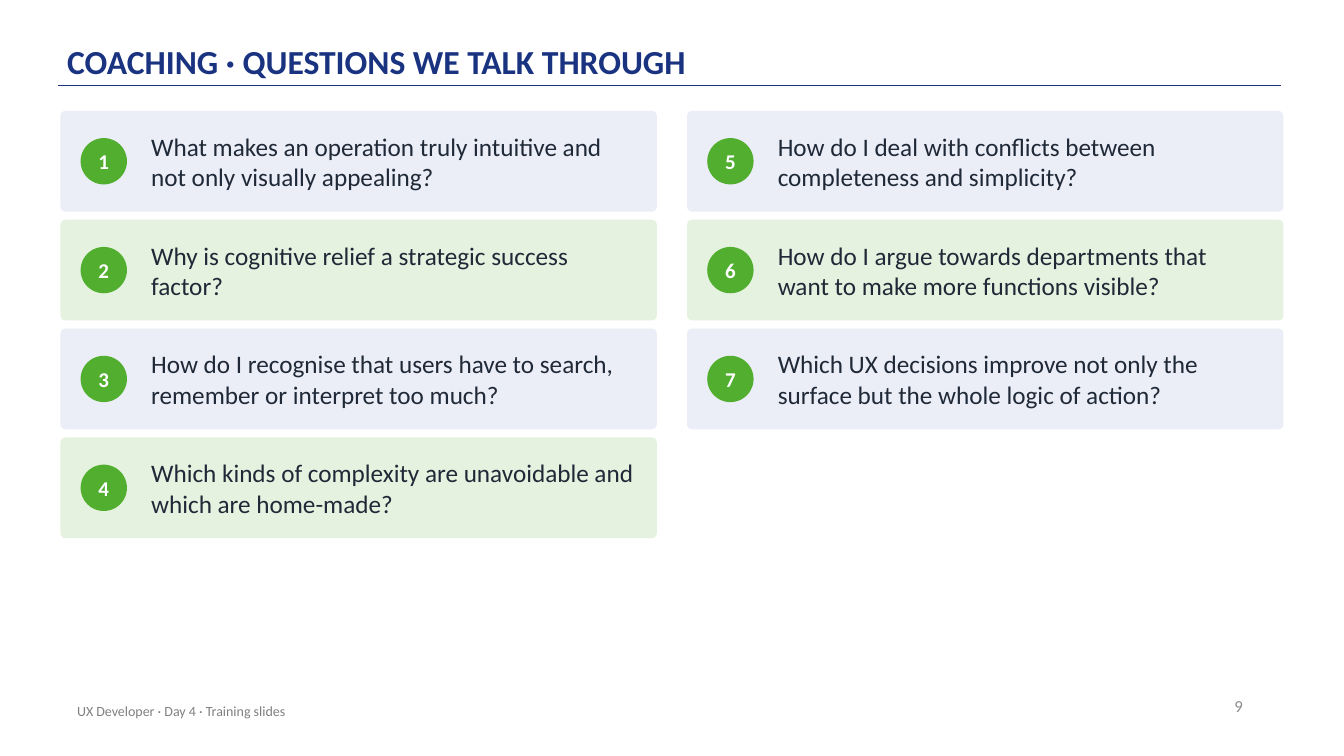
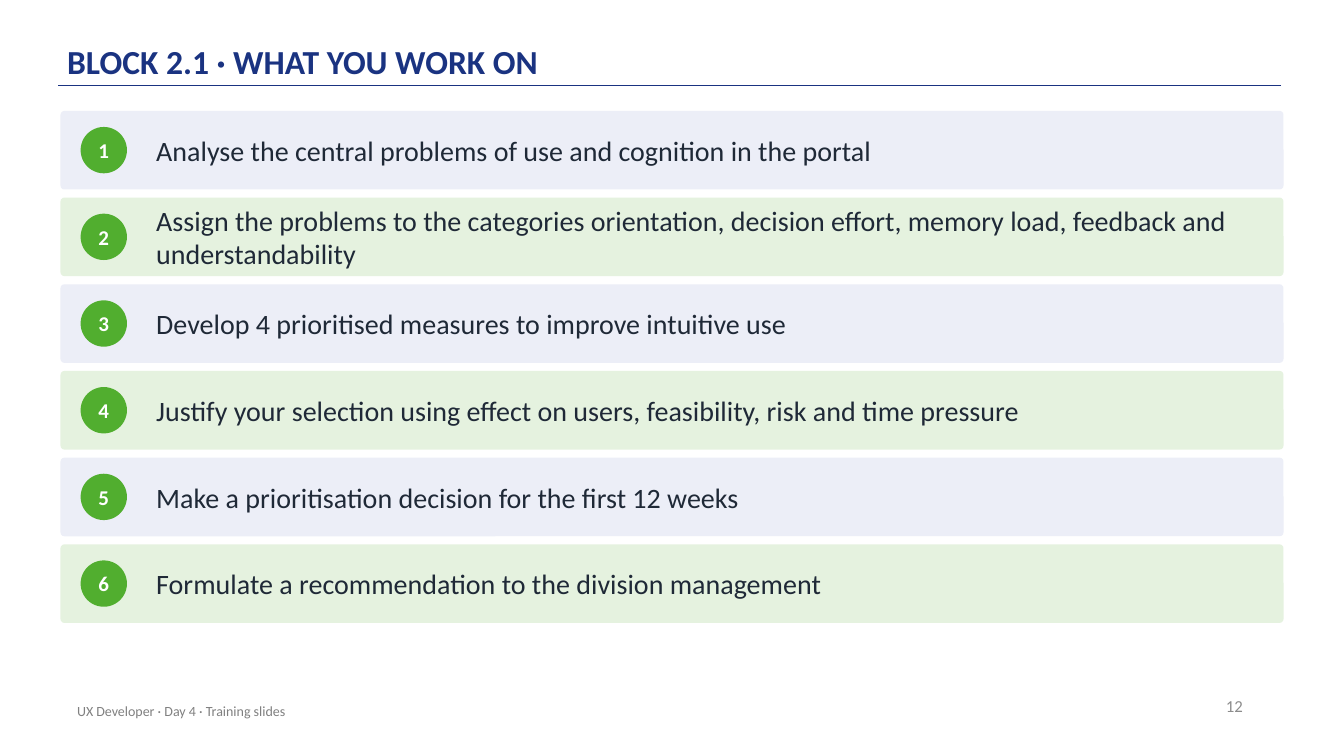
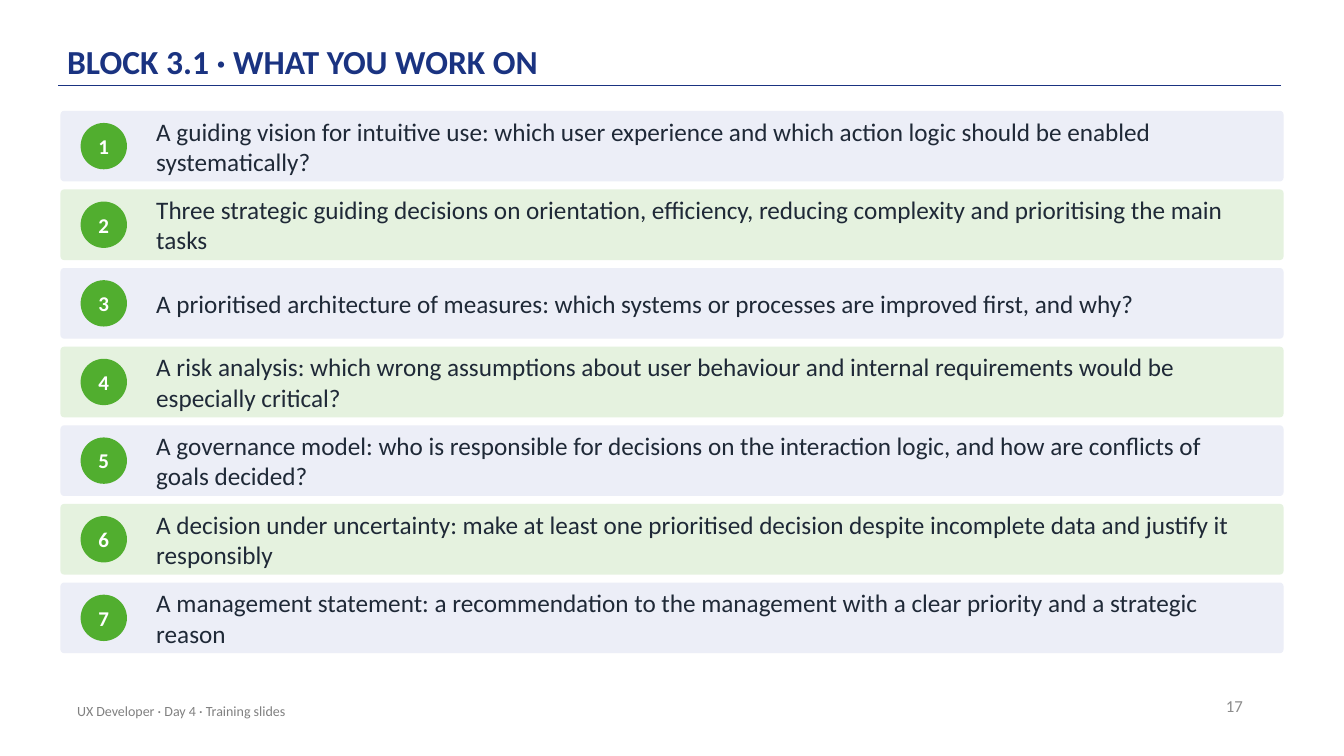
from pptx import Presentation
from pptx.dml.color import RGBColor
from pptx.enum.shapes import MSO_CONNECTOR, MSO_SHAPE
from pptx.enum.text import MSO_ANCHOR, PP_ALIGN
from pptx.oxml.ns import qn
from pptx.util import Pt

ROUNDED, OVAL = MSO_SHAPE.ROUNDED_RECTANGLE, MSO_SHAPE.OVAL
STRAIGHT = MSO_CONNECTOR.STRAIGHT
MIDDLE, BOTTOM = MSO_ANCHOR.MIDDLE, MSO_ANCHOR.BOTTOM
LEFT, CENTER, RIGHT = PP_ALIGN.LEFT, PP_ALIGN.CENTER, PP_ALIGN.RIGHT

# Shared look
COLORS = {
    "navy": "1A3381", "green": "51AE2F", "white": "FFFFFF", "ink": "1F2937",
    "number": "8C8C8C", "footer": "808080",
    "card_blue": "ECEEF7", "card_green": "E5F2DF",
}
CARD_COLORS = ("card_blue", "card_green")
FONT = "Calibri"
FOOTER = "UX Developer · Day 4 · Training slides"

# Slide geometry in points
SLIDE_W, SLIDE_H = 960, 540
MARGIN, CARDS_TOP = 43.2, 79.2
CARD_GAP, COLUMN_GAP = 5.76, 21.6
BADGE_SIZE, BADGE_INSET = 33.12, 14.4

# Text styles: colour, font values, paragraph values, anchor and insets (x, y)
STYLES = {
    "title": ("navy", {"size": Pt(24), "bold": True},
              {"alignment": LEFT, "line_spacing": 0.9}, BOTTOM, (0, 2.16)),
    "number": ("number", {"size": Pt(12)}, {"alignment": RIGHT}, MIDDLE, (7.2, 3.6)),
    "footer": ("footer", {"size": Pt(10)}, {"alignment": LEFT}, MIDDLE, (7.2, 3.6)),
    "badge": ("white", {"size": Pt(15), "bold": True},
              {"alignment": CENTER}, MIDDLE, (0, 0)),
    "card": ("ink", {"size": Pt(18)}, {"alignment": LEFT}, MIDDLE, (0, 0)),
    "card_large": ("ink", {"size": Pt(20)}, {"alignment": LEFT}, MIDDLE, (0, 0)),
}

# Card layouts: text_left and text_right are measured from the card's edges
QUESTION_GRID = {"columns": 2, "rows": 4, "height": 72,
                 "text_left": 64.8, "text_right": 14.4, "style": "card"}
TASK_LIST = {"columns": 1, "rows": 6, "height": 56.16,
             "text_left": 68.4, "text_right": 18, "style": "card_large"}
RESULT_LIST = {**TASK_LIST, "rows": 7, "height": 50.4, "style": "card"}

# Content: title, page number, card layout, card texts
SLIDES = [
    ("COACHING · QUESTIONS WE TALK THROUGH", 9, QUESTION_GRID, [
        "What makes an operation truly intuitive and not only visually appealing?",
        "Why is cognitive relief a strategic success factor?",
        "How do I recognise that users have to search, remember or interpret too much?",
        "Which kinds of complexity are unavoidable and which are home-made?",
        "How do I deal with conflicts between completeness and simplicity?",
        "How do I argue towards departments that want to make more functions visible?",
        "Which UX decisions improve not only the surface but the whole logic of action?",
    ]),
    ("BLOCK 2.1 · WHAT YOU WORK ON", 12, TASK_LIST, [
        "Analyse the central problems of use and cognition in the portal",
        "Assign the problems to the categories orientation, decision effort, "
        "memory load, feedback and understandability",
        "Develop 4 prioritised measures to improve intuitive use",
        "Justify your selection using effect on users, feasibility, risk and time pressure",
        "Make a prioritisation decision for the first 12 weeks",
        "Formulate a recommendation to the division management",
    ]),
    ("BLOCK 3.1 · WHAT YOU WORK ON", 17, RESULT_LIST, [
        "A guiding vision for intuitive use: which user experience and which "
        "action logic should be enabled systematically?",
        "Three strategic guiding decisions on orientation, efficiency, reducing "
        "complexity and prioritising the main tasks",
        "A prioritised architecture of measures: which systems or processes are "
        "improved first, and why?",
        "A risk analysis: which wrong assumptions about user behaviour and "
        "internal requirements would be especially critical?",
        "A governance model: who is responsible for decisions on the interaction "
        "logic, and how are conflicts of goals decided?",
        "A decision under uncertainty: make at least one prioritised decision "
        "despite incomplete data and justify it responsibly",
        "A management statement: a recommendation to the management with a clear "
        "priority and a strategic reason",
    ]),
]


def rgb(color):
    return RGBColor.from_string(COLORS[color])


def set_all(target, values):
    for name, value in values.items():
        setattr(target, name, value)


def write(shape, text, style):
    color, font_values, paragraph_values, anchor, (inset_x, inset_y) = STYLES[style]
    frame = shape.text_frame
    set_all(frame, {
        "word_wrap": True, "vertical_anchor": anchor,
        "margin_left": Pt(inset_x), "margin_right": Pt(inset_x),
        "margin_top": Pt(inset_y), "margin_bottom": Pt(inset_y),
    })
    paragraph = frame.paragraphs[0]
    set_all(paragraph, paragraph_values)
    run = paragraph.add_run()
    run.text = text
    set_all(run.font, {"name": FONT, **font_values})
    run.font.color.rgb = rgb(color)


def add_label(slide, box, text, style):
    write(slide.shapes.add_textbox(*map(Pt, box)), text, style)


def add_filled(slide, preset, box, color):
    shape = slide.shapes.add_shape(preset, *map(Pt, box))
    shape.shadow.inherit = False
    shape.fill.solid()
    shape.fill.fore_color.rgb = rgb(color)
    shape.line.fill.background()
    return shape


def add_frame(slide, title, page):
    # Rule under the title
    rule = slide.shapes.add_connector(STRAIGHT, *map(Pt, (915.12, 61.2, 41.76, 61.2)))
    rule.line.color.rgb = rgb("navy")
    rule.line.width = Pt(1)
    properties = rule._element.spPr
    properties.append(properties.makeelement(qn("a:effectLst"), {}))
    # Title, page number and footer
    add_label(slide, (48, 8.64, 792, 51.84), title, "title")
    add_label(slide, (678.96, 489.6, 216, 28.8), str(page), "number")
    add_label(slide, (48, 493.2, 482.4, 28.8), FOOTER, "footer")


def add_card(slide, box, number, text, color, layout):
    left, top, width, height = box
    card = add_filled(slide, ROUNDED, box, color)
    card.adjustments[0] = 0.05
    badge_top = top + (height - BADGE_SIZE) / 2
    badge_box = (left + BADGE_INSET, badge_top, BADGE_SIZE, BADGE_SIZE)
    write(add_filled(slide, OVAL, badge_box, "green"), str(number), "badge")
    text_width = width - layout["text_left"] - layout["text_right"]
    add_label(slide, (left + layout["text_left"], top, text_width, height),
              text, layout["style"])


def add_cards(slide, texts, layout):
    columns, height = layout["columns"], layout["height"]
    width = (SLIDE_W - 2 * MARGIN - (columns - 1) * COLUMN_GAP) / columns
    for index, text in enumerate(texts):
        column, row = divmod(index, layout["rows"])
        box = (MARGIN + column * (width + COLUMN_GAP),
               CARDS_TOP + row * (height + CARD_GAP), width, height)
        color = CARD_COLORS[row % len(CARD_COLORS)]
        add_card(slide, box, index + 1, text, color, layout)


def main():
    deck = Presentation()
    deck.slide_width, deck.slide_height = Pt(SLIDE_W), Pt(SLIDE_H)
    blank = deck.slide_layouts[6]
    for title, page, layout, texts in SLIDES:
        slide = deck.slides.add_slide(blank)
        add_frame(slide, title, page)
        add_cards(slide, texts, layout)
    deck.save("out.pptx")


if __name__ == "__main__":
    main()
